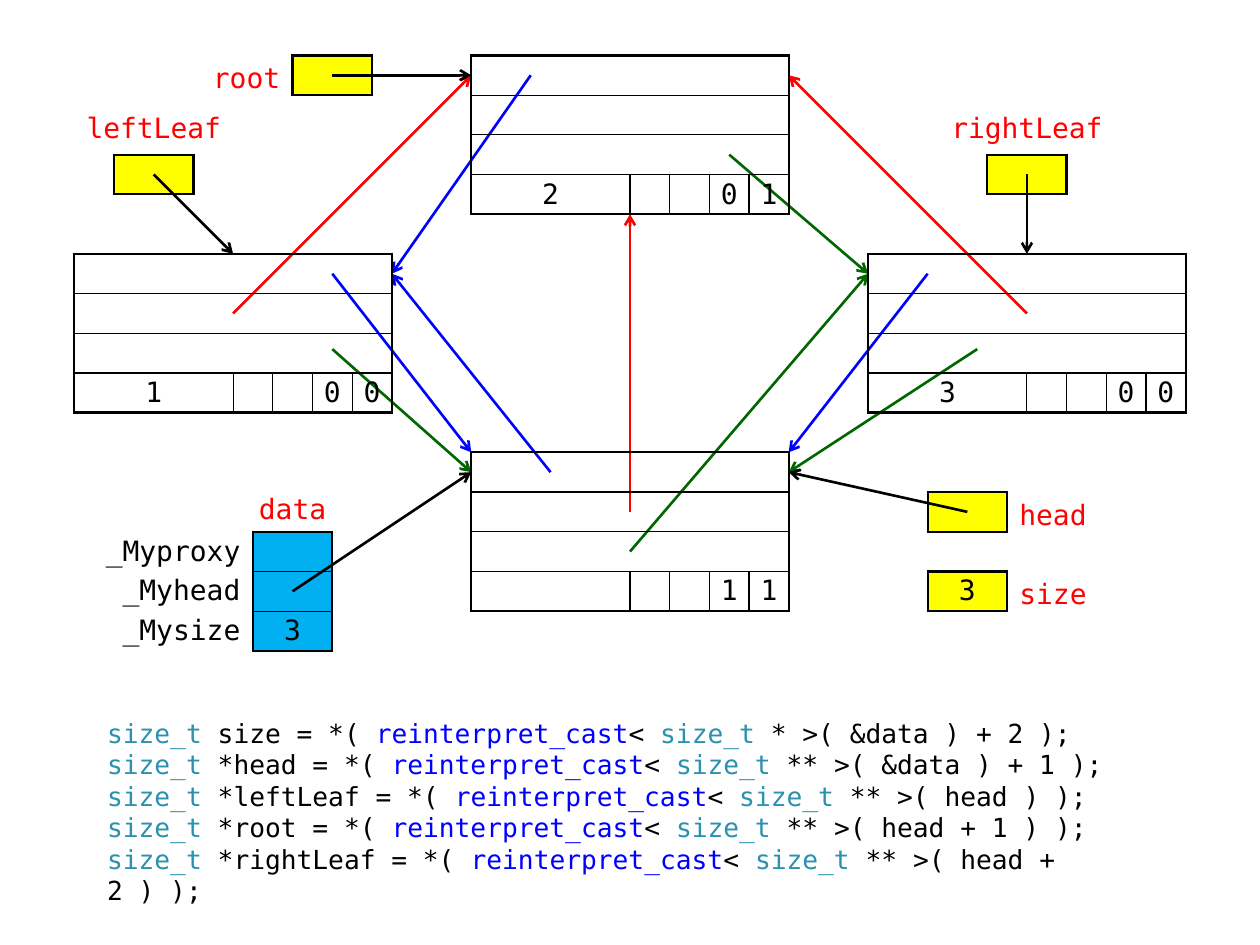
from dataclasses import dataclass

import pptx
import pptx.dml.color
import pptx.enum.shapes
import pptx.enum.text
import pptx.oxml
import pptx.oxml.ns
import pptx.util
from lxml import etree

Inches = pptx.util.Inches
Align = pptx.enum.text.PP_ALIGN
Anchor = pptx.enum.text.MSO_ANCHOR
qn = pptx.oxml.ns.qn
UNIT = 2.52 / 8
CENTER_X, TOP_Y = 5, 0.44


@dataclass(frozen=True)
class Theme:
    font: str = "DejaVu Sans Mono"
    label_size: int = 16
    code_size: int = 15
    thick: float = 1.5
    thin: float = 0.75
    black: str = "000000"
    red: str = "FF0000"
    blue: str = "0000FF"
    green: str = "006600"
    yellow: str = "FFFF00"
    sky: str = "00B0F0"
    type_name: str = "2B91AF"
    plain_table: str = "{2D5ABB26-0587-4C30-8999-92F81FD0307C}"


def grid_x(column):
    return Inches(CENTER_X + column * UNIT)


def grid_y(row):
    return Inches(TOP_Y + row * UNIT)


def span_of(units):
    return Inches(units * UNIT)


def set_margins(target, left, top, right, bottom):
    target.margin_left, target.margin_top = Inches(left), Inches(top)
    target.margin_right, target.margin_bottom = Inches(right), Inches(bottom)


class TreeSlide:
    def __init__(self, deck, theme):
        self.theme = theme
        self.page = deck.slides.add_slide(deck.slide_layouts[1])
        title = self.page.shapes.title
        title.element.getparent().remove(title.element)

    def span(self, para, text, color, size):
        span = para.add_run()
        span.text = text
        span.font.name = self.theme.font
        span.font.size = pptx.util.Pt(size)
        span.font.color.rgb = pptx.dml.color.RGBColor.from_string(color)

    def code(self, lines):
        theme = self.theme
        box = self.page.placeholders[1]
        box.left, box.top = Inches(0.75), Inches(5.64)
        box.width, box.height = Inches(8.5), Inches(1.42)
        frame = box.text_frame
        frame.word_wrap = True
        frame.auto_size = pptx.enum.text.MSO_AUTO_SIZE.NONE
        frame.vertical_anchor = Anchor.TOP
        set_margins(frame, 0.1, 0.05, 0.1, 0.05)
        for index, (target, source) in enumerate(lines):
            para = frame.add_paragraph() if index else frame.paragraphs[0]
            properties = para._p.get_or_add_pPr()
            properties.set("marL", "0")
            properties.set("indent", "0")
            etree.SubElement(properties, qn("a:buNone"))
            para.space_before = para.space_after = pptx.util.Pt(0)
            for text, color in (
                ("size_t", theme.type_name),
                (f" {target} = *( ", theme.black),
                ("reinterpret_cast", theme.blue),
                ("< ", theme.black),
                ("size_t", theme.type_name),
                (f" {source} );", theme.black),
            ):
                self.span(para, text, color, theme.code_size)

    def label(self, text, column, row, width, height, margins, align, anchor=Anchor.TOP):
        box = self.page.shapes.add_textbox(
            grid_x(column), grid_y(row), span_of(width), span_of(height))
        frame = box.text_frame
        frame.word_wrap = True
        frame.vertical_anchor = anchor
        set_margins(frame, *margins)
        para = frame.paragraphs[0]
        para.alignment = align
        self.span(para, text, self.theme.red, self.theme.label_size)

    def border(self, cell, side, width):
        line = etree.SubElement(cell._tc.get_or_add_tcPr(), qn(f"a:ln{side}"))
        if not width:
            line.set("w", "0")
            etree.SubElement(line, qn("a:noFill"))
            return
        line.set("w", str(pptx.util.Pt(width)))
        fill = etree.SubElement(line, qn("a:solidFill"))
        etree.SubElement(fill, qn("a:srgbClr")).set("val", self.theme.black)

    def table(self, column, row, widths, rows, fill=None, merged_rows=0, captions=0):
        theme = self.theme
        last_row, last_column = len(rows) - 1, len(widths) - 1
        table = self.page.shapes.add_table(
            len(rows), len(widths), grid_x(column), grid_y(row),
            span_of(sum(widths)), span_of(len(rows))).table
        table._tbl.tblPr.find(qn("a:tableStyleId")).text = theme.plain_table
        table.first_row = table.horz_banding = False
        for index, width in enumerate(widths):
            table.columns[index].width = span_of(width)
        for r, texts in enumerate(rows):
            table.rows[r].height = span_of(1)
            merged = r < merged_rows
            for c, text in enumerate(texts):
                cell = table.cell(r, c)
                caption = c < captions
                side = 0.1 if caption else 0.08
                set_margins(cell, side, 0, side, 0)
                cell.vertical_anchor = Anchor.MIDDLE
                para = cell.text_frame.paragraphs[0]
                para.alignment = Align.RIGHT if caption else Align.CENTER
                if text:
                    self.span(para, text, theme.black, theme.label_size)
                outer = {
                    "L": c == captions,
                    "R": c == last_column or merged,
                    "T": r == 0,
                    "B": r == last_row,
                }
                for name, edge in outer.items():
                    width = theme.thick if edge else theme.thin
                    if caption:
                        width = theme.thick if name == "R" and c == captions - 1 else 0
                    self.border(cell, name, width)
                if fill and not caption:
                    cell.fill.solid()
                    cell.fill.fore_color.rgb = pptx.dml.color.RGBColor.from_string(fill)
                else:
                    cell.fill.background()
            if merged:
                table.cell(r, 0).merge(table.cell(r, last_column))

    def pointer(self, column, row, text=""):
        self.table(column, row, [2], [[text]], self.theme.yellow)

    def node(self, column, row, value, color, is_nil):
        rows = [[""] * 5] * 3 + [[value, "", "", color, is_nil]]
        self.table(column, row, [4, 1, 1, 1, 1], rows, merged_rows=3)

    def arrow(self, color, start, end):
        line = self.page.shapes.add_connector(
            pptx.enum.shapes.MSO_CONNECTOR.STRAIGHT,
            grid_x(start[0]), grid_y(start[1]), grid_x(end[0]), grid_y(end[1]))
        line.line.color.rgb = pptx.dml.color.RGBColor.from_string(color)
        line.line.width = pptx.util.Pt(self.theme.thick)
        etree.SubElement(line.line._get_or_add_ln(), qn("a:tailEnd")).set("type", "arrow")
        etree.SubElement(line._element.spPr, qn("a:effectLst"))


def main():
    theme = Theme()
    deck = pptx.Presentation()
    deck.slide_width, deck.slide_height = Inches(10), Inches(7.5)
    slide = TreeSlide(deck, theme)

    slide.code([
        ("size", "* >( &data ) + 2"),
        ("*head", "** >( &data ) + 1"),
        ("*leftLeaf", "** >( head )"),
        ("*root", "** >( head + 1 )"),
        ("*rightLeaf", "** >( head + 2 )"),
    ])

    members = [["_Myproxy", ""], ["_Myhead", ""], ["_Mysize", "3"]]
    slide.table(-14, 12, [4.5, 2], members, theme.sky, captions=1)
    slide.label("data", -9.5, 11, 2, 1, (0, 0, 0, 0), Align.CENTER)

    for text, column in (("leftLeaf", -13), ("rightLeaf", 9)):
        slide.pointer(column, 2.5)
        slide.label(text, column - 1.5, 1, 5, 1.5, (0, 0, 0, 0.08),
                    Align.CENTER, Anchor.BOTTOM)
    for text, value, column, row, label_column, align in (
        ("root", "", -8.5, 0, -11, Align.RIGHT),
        ("head", "", 7.5, 11, 9.5, Align.LEFT),
        ("size", "3", 7.5, 13, 9.5, Align.LEFT),
    ):
        slide.pointer(column, row, value)
        slide.label(text, label_column, row, 2.5, 1, (0.1, 0.04, 0.1, 0), align)

    arrows = {
        theme.red: [
            ((10, 6.5), (4, 0.5)), ((-10, 6.5), (-4, 0.5)), ((0, 11.5), (0, 4)),
        ],
        theme.blue: [
            ((-2, 10.5), (-6, 5.5)), ((-2.5, 0.5), (-6, 5.5)),
            ((-7.5, 5.5), (-4, 10)), ((7.5, 5.5), (4, 10)),
        ],
        theme.green: [
            ((2.5, 2.5), (6, 5.5)), ((-7.5, 7.4), (-4, 10.5)),
            ((8.75, 7.4), (4, 10.5)), ((0, 12.5), (6, 5.5)),
        ],
        theme.black: [
            ((-8.5, 13.5), (-4, 10.5)), ((10, 3), (10, 5)), ((-12, 3), (-10, 5)),
            ((8.5, 11.5), (4, 10.5)), ((-7.5, 0.5), (-4, 0.5)),
        ],
    }
    for color, routes in arrows.items():
        for start, end in routes:
            slide.arrow(color, start, end)

    slide.node(-4, 0, "2", "0", "1")
    slide.node(-14, 5, "1", "0", "0")
    slide.node(-4, 10, "", "1", "1")
    slide.node(6, 5, "3", "0", "0")
    deck.save("out.pptx")


if __name__ == "__main__":
    main()
